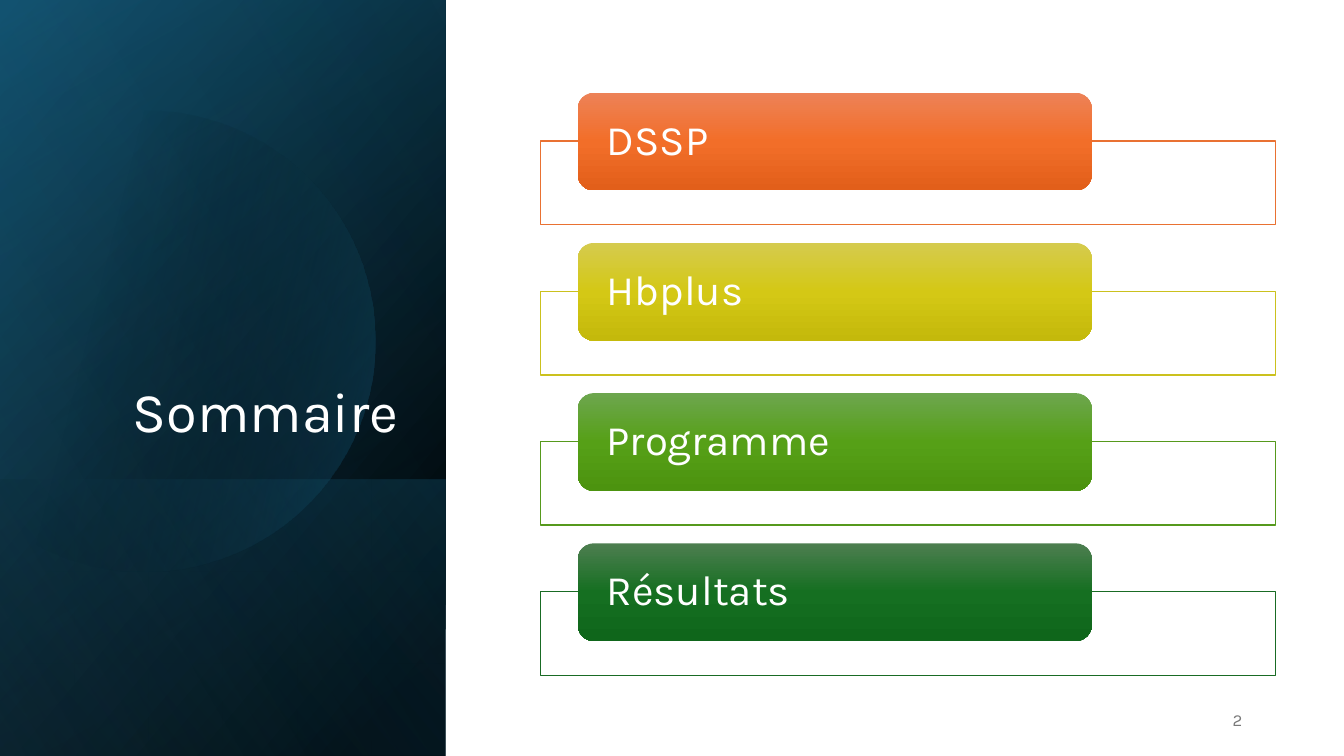
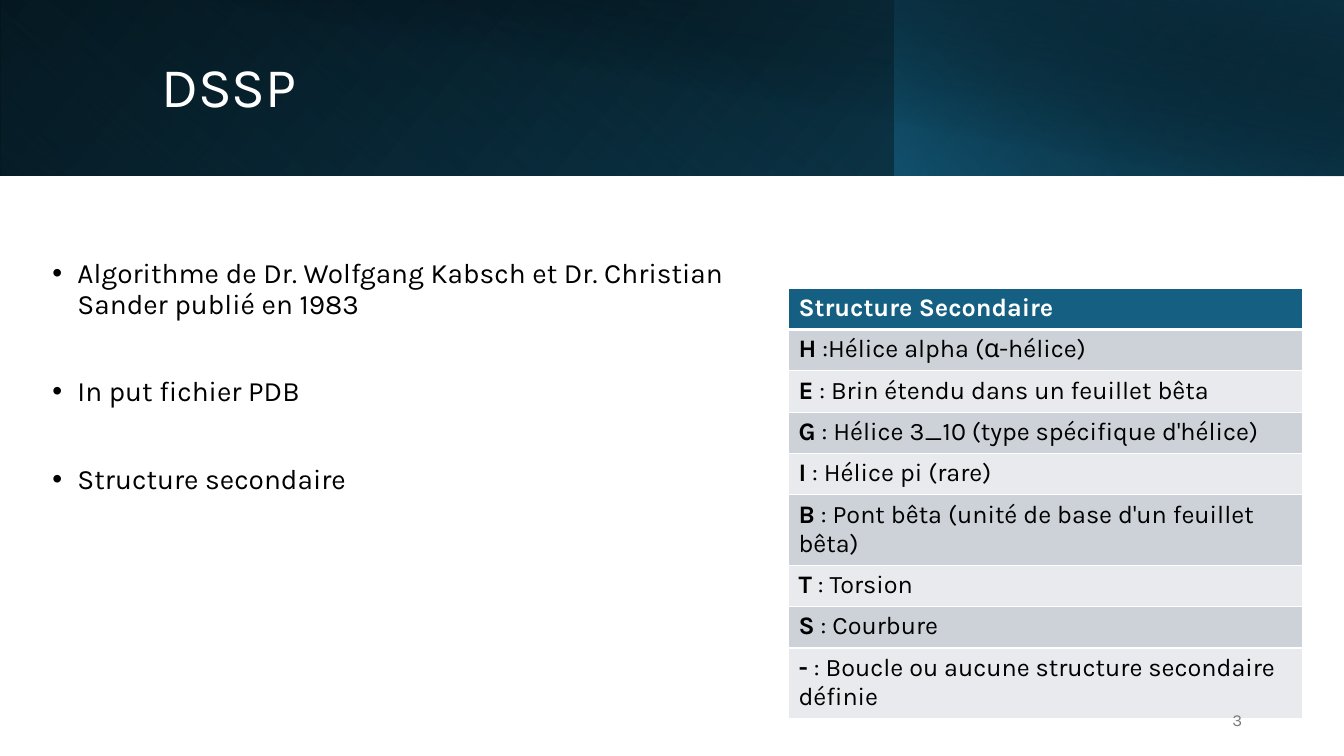
import pptx
import pptx.dml.color
import pptx.enum.shapes
import pptx.enum.text
import pptx.oxml
import pptx.oxml.ns
import pptx.util

RGB = pptx.dml.color.RGBColor
FORM = pptx.enum.shapes.MSO_SHAPE
ALIGN = pptx.enum.text.PP_ALIGN
ANCHOR = pptx.enum.text.MSO_ANCHOR

BLACK = RGB(0x00, 0x00, 0x00)
WHITE = RGB(0xFF, 0xFF, 0xFF)
GREY = RGB(0x79, 0x79, 0x79)
BLUE = RGB(0x15, 0x60, 0x82)
DEEP = RGB(0x10, 0x48, 0x62)
NIGHT = RGB(0x0B, 0x30, 0x41)
SKY = RGB(0x46, 0xB1, 0xE1)
DARK = RGB(0xCC, 0xD2, 0xD8)
PALE = RGB(0xE8, 0xEA, 0xED)
EDGES = [RGB(0xE9, 0x71, 0x32), RGB(0xCB, 0xC1, 0x1E),
         RGB(0x56, 0x99, 0x1D), RGB(0x19, 0x6B, 0x24)]
TINTS = [
    (RGB(0xED, 0x82, 0x57), RGB(0xF2, 0x6E, 0x29), RGB(0xE2, 0x5F, 0x1A)),
    (RGB(0xD5, 0xCB, 0x4E), RGB(0xD4, 0xC8, 0x15), RGB(0xC4, 0xB9, 0x0B)),
    (RGB(0x6D, 0xA6, 0x4E), RGB(0x56, 0xA0, 0x17), RGB(0x4C, 0x93, 0x0F)),
    (RGB(0x4D, 0x7E, 0x50), RGB(0x15, 0x6F, 0x21), RGB(0x0F, 0x66, 0x1B)),
]

TOPICS = ["DSSP", "Hbplus", "Programme", "Résultats"]
POINTS = ["Algorithme de Dr. Wolfgang Kabsch et Dr. Christian Sander publié en 1983",
          "In put fichier PDB", "Structure secondaire"]
CODES = [
    ("H", " :Hélice alpha (α-hélice)"),
    ("E", " : Brin étendu dans un feuillet bêta"),
    ("G", " : Hélice 3_10 (type spécifique d'hélice)"),
    ("I", " : Hélice pi (rare)"),
    ("B", " : Pont bêta (unité de base d'un feuillet bêta)"),
    ("T", " : Torsion"),
    ("S", " : Courbure"),
    ("-", " : Boucle ou aucune structure secondaire définie"),
]
DISC = [
    [(149, 110), (246, 112), (335, 177), (363, 275)],
    [(363, 275), (398, 397), (328, 523), (207, 558)],
    [(207, 558), (131, 580), (53, 561), (0, 516)],
    [(0, 161), (23, 142), (50, 128), (80, 119)],
    [(80, 119), (103, 113), (126, 110), (149, 110)],
]


def px(n):
    return pptx.util.Emu(round(n * 9144))


def make(xml):
    return pptx.oxml.parse_xml(xml.replace(" ", " %s " % pptx.oxml.ns.nsdecls("a"), 1))


def curve(a, b, c, d, steps=24):
    for i in range(steps + 1):
        t = i / steps
        u = 1 - t
        yield tuple(px(u**3 * e + 3 * u * u * t * f + 3 * u * t * t * g + t**3 * h)
                    for e, f, g, h in zip(a, b, c, d))


class Deck:
    font = "Karla"

    def __init__(self):
        self.prs = pptx.Presentation()
        self.prs.slide_width = px(1333)
        self.prs.slide_height = px(750)
        self.slide = None

    def page(self):
        self.slide = self.prs.slides.add_slide(self.prs.slide_layouts[6])

    def run(self, para, text, size, color, bold=False):
        run = para.add_run()
        run.text = text
        font = run.font
        font.name = self.font
        font.size = pptx.util.Pt(size)
        font.bold = bold
        font.color.rgb = color

    def plain(self, shape):
        shape.shadow.inherit = False
        shape.line.fill.background()
        return shape

    def shade(self, shape, stops, angle):
        marks = "".join(
            f'<a:gs pos="{pos * 1000}"><a:srgbClr val="{color}">'
            f'<a:alpha val="{alpha * 1000}"/></a:srgbClr></a:gs>'
            for pos, color, alpha in stops)
        fill = make(f'<a:gradFill rotWithShape="1"><a:gsLst>{marks}</a:gsLst>'
                    f'<a:lin ang="{angle * 60000}" scaled="0"/></a:gradFill>')
        shape._element.spPr.insert(2, fill)

    def band(self, box, stops, angle, turn=0, flip=True, form=FORM.RECTANGLE):
        shape = self.plain(self.slide.shapes.add_shape(form, *map(px, box)))
        shape.rotation = turn
        if flip:
            shape._element.spPr.xfrm.set("flipH", "1")
        self.shade(shape, stops, angle)
        return shape

    def disc(self, arcs, stops, angle):
        dots = [dot for arc in arcs for dot in curve(*arc)]
        path = self.slide.shapes.build_freeform(*dots[0], scale=1.0)
        path.add_line_segments(dots[1:], close=True)
        self.shade(self.plain(path.convert_to_shape()), stops, angle)

    def frame(self, box, color):
        shape = self.slide.shapes.add_shape(FORM.RECTANGLE, *map(px, box))
        shape.shadow.inherit = False
        shape.fill.solid()
        shape.fill.fore_color.rgb = WHITE
        shape.line.color.rgb = color
        shape.line.width = pptx.util.Pt(1)

    def label(self, box, text, tints):
        stops = [(pos, tint, 100) for pos, tint in zip((0, 50, 100), tints)]
        shape = self.band(box, stops, 90, flip=False, form=FORM.ROUNDED_RECTANGLE)
        body = shape.text_frame
        body.word_wrap = True
        body.vertical_anchor = ANCHOR.MIDDLE
        body.margin_left = body.margin_right = px(24)
        body.margin_top = body.margin_bottom = 0
        para = body.paragraphs[0]
        para.alignment = ALIGN.LEFT
        para.line_spacing = 0.9
        self.run(para, text, 30, WHITE)

    def text(self, box, lines, size, color, align=ALIGN.LEFT,
             anchor=ANCHOR.MIDDLE, gap=0, dots=False):
        body = self.slide.shapes.add_textbox(*map(px, box)).text_frame
        body.word_wrap = True
        body.vertical_anchor = anchor
        for i, line in enumerate(lines):
            para = body.add_paragraph() if i else body.paragraphs[0]
            para.alignment = align
            para.line_spacing = 0.9
            para.space_before = pptx.util.Pt(gap if i else 0)
            if dots:
                props = para._p.get_or_add_pPr()
                props.set("marL", str(px(25)))
                props.set("indent", str(px(-25)))
                props.append(make('<a:buFont typeface="Arial"/>'))
                props.append(make('<a:buChar char="•"/>'))
            self.run(para, line, size, color)

    def title(self, box, text, **style):
        self.text(box, [text], 40, WHITE, **style)

    def number(self, n):
        self.text((942, 695, 300, 40), [str(n)], 12, GREY, align=ALIGN.RIGHT)

    def cell(self, cell, parts, color, fill, base=1):
        props = cell._tc.get_or_add_tcPr()
        for side, width in zip("LRTB", (1, 1, 1, base)):
            props.append(make(f'<a:ln{side} w="{width * 12700}"><a:solidFill>'
                              f'<a:srgbClr val="{WHITE}"/></a:solidFill></a:ln{side}>'))
        cell.fill.solid()
        cell.fill.fore_color.rgb = fill
        for i, part in enumerate(parts):
            self.run(cell.text_frame.paragraphs[0], part, 18, color, bold=i == 0)

    def table(self, box, head, rows):
        table = self.slide.shapes.add_table(len(rows) + 1, 1, *map(px, box)).table
        self.cell(table.cell(0, 0), [head], WHITE, BLUE, base=3)
        for i, row in enumerate(rows):
            self.cell(table.cell(i + 1, 0), row, BLACK, PALE if i % 2 else DARK)


def agenda(deck):
    deck.page()
    panel = (-154, 154, 750, 442)
    deck.band(panel, [(8, BLACK, 100), (100, DEEP, 100)], 50, 90)
    deck.band(panel, [(0, BLACK, 0), (99, BLUE, 46)], 30, 90)
    deck.band((84, 392, 274, 442), [(2, BLUE, 29), (100, BLACK, 30)], 130, 90)
    deck.disc(DISC, [(29, BLACK, 0), (100, BLUE, 43)], 14)
    deck.band(panel, [(0, BLACK, 0), (99, SKY, 11)], 120, 90)
    deck.title((64, 184, 341, 262), "Sommaire", align=ALIGN.RIGHT, anchor=ANCHOR.BOTTOM)
    for i, (topic, edge, tints) in enumerate(zip(TOPICS, EDGES, TINTS)):
        top = 92 + 149 * i
        deck.frame((536, top + 48, 729, 83), edge)
        deck.label((573, top, 510, 97), topic, tints)
    deck.number(2)


def method(deck):
    deck.page()
    deck.band((0, 0, 1333, 174), [(0, BLACK, 100), (100, DEEP, 100)], 140)
    deck.band((0, 0, 888, 174), [(20, BLUE, 0), (100, NIGHT, 55)], 230, 180)
    deck.band((887, 0, 446, 174), [(0, BLUE, 66), (100, BLACK, 30)], 220)
    deck.band((50, 0, 1283, 175), [(50, BLACK, 0), (99, NIGHT, 52)], 280, flip=False)
    deck.title((150, 32, 1082, 113), "DSSP")
    deck.text((42, 229, 721, 291), POINTS, 20, BLACK, gap=41, dots=True)
    deck.table((782, 286, 510, 369), "Structure Secondaire", CODES)
    deck.number(3)


def main():
    deck = Deck()
    agenda(deck)
    method(deck)
    deck.prs.save("out.pptx")


if __name__ == "__main__":
    main()
